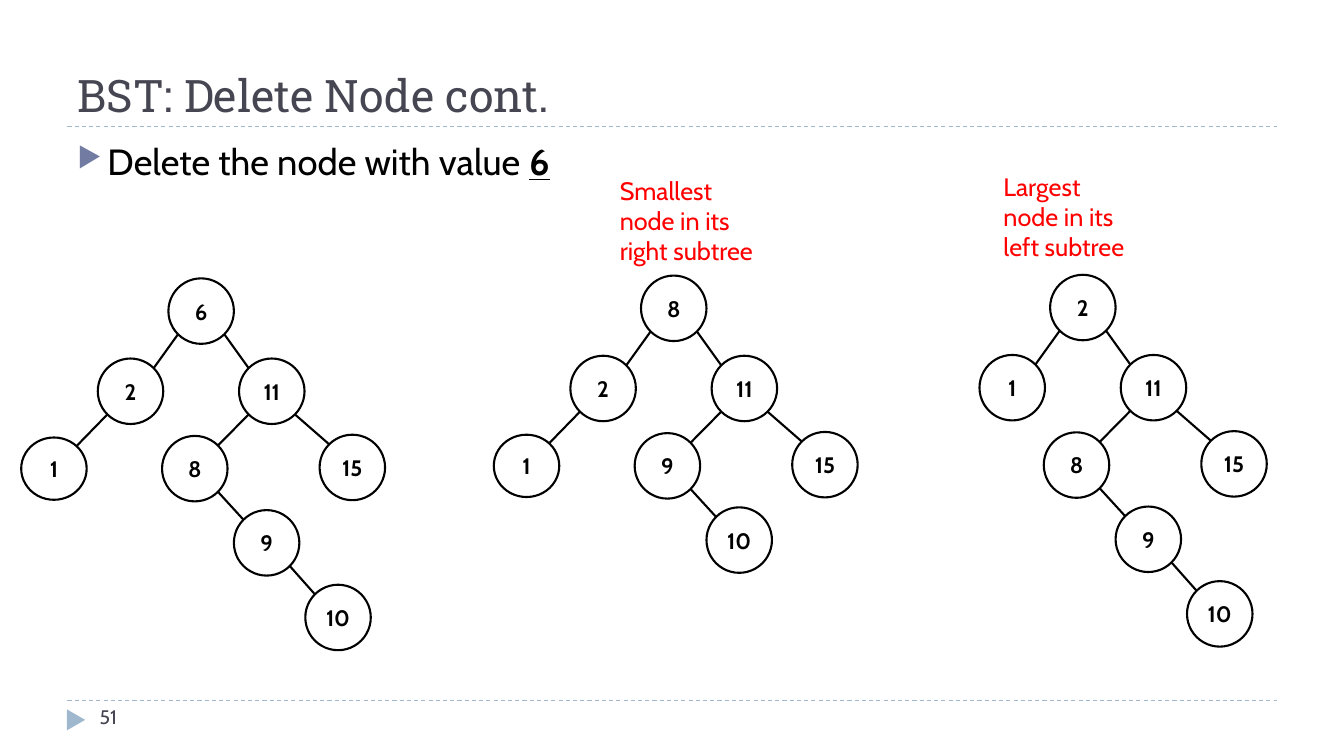
from dataclasses import dataclass
from math import sqrt

from lxml import etree
from pptx import Presentation
from pptx.dml.color import RGBColor
from pptx.enum.dml import MSO_LINE
from pptx.enum.shapes import MSO_CONNECTOR, MSO_SHAPE
from pptx.enum.text import MSO_ANCHOR, MSO_AUTO_SIZE, PP_ALIGN
from pptx.oxml.ns import qn
from pptx.util import Cm, Pt

STRAIGHT = MSO_CONNECTOR.STRAIGHT
OVAL = MSO_SHAPE.OVAL
TRIANGLE = MSO_SHAPE.ISOSCELES_TRIANGLE
DASH = MSO_LINE.DASH
CENTER, LEFT = PP_ALIGN.CENTER, PP_ALIGN.LEFT
MIDDLE, BOTTOM = MSO_ANCHOR.MIDDLE, MSO_ANCHOR.BOTTOM
NO_AUTOFIT = MSO_AUTO_SIZE.NONE

BLACK = RGBColor(0x00, 0x00, 0x00)
WHITE = RGBColor(0xFF, 0xFF, 0xFF)
RED = RGBColor(0xFF, 0x00, 0x00)
SLATE = RGBColor(0x46, 0x46, 0x53)
PALE_BLUE = RGBColor(0x9F, 0xB8, 0xCD)
BULLET_BLUE = "727CA3"

BODY_FONT = "Cabin"
TITLE_FONT = "Roboto Slab"
NODE_SIZE = 1.65
EDGE_INSET = NODE_SIZE / 2 / sqrt(2)


@dataclass(frozen=True)
class Slot:
    """Centre of a tree position relative to the root, in centimetres."""
    x: float
    y: float
    height: float = NODE_SIZE


@dataclass(frozen=True)
class Tree:
    """Root centre in centimetres, and values keyed by the path from the root."""
    x: float
    y: float
    values: dict[str, int]


@dataclass(frozen=True)
class Note:
    left: float
    top: float
    width: float
    text: str


SLOTS = {
    "": Slot(0, 0),
    "L": Slot(-1.78, 2.02),
    "R": Slot(1.78, 2.02),
    "LL": Slot(-3.71, 3.97, 1.57),
    "RL": Slot(-0.16, 3.97),
    "RR": Slot(3.81, 3.94),
    "RLR": Slot(1.65, 5.84),
    "RLRR": Slot(3.45, 7.72),
}

TREES = [
    Tree(5.07, 7.84, {"": 6, "L": 2, "R": 11, "LL": 1, "RL": 8, "RR": 15, "RLR": 9, "RLRR": 10}),
    Tree(16.98, 7.77, {"": 8, "L": 2, "R": 11, "LL": 1, "RL": 9, "RR": 15, "RLR": 10}),
    Tree(27.29, 7.75, {"": 2, "L": 1, "R": 11, "RL": 8, "RR": 15, "RLR": 9, "RLRR": 10}),
]

NOTES = [
    Note(23.77, 4.19, 5.21, "Largest node in its left subtree"),
    Note(14.1, 4.29, 5.59, "Smallest node in its right subtree"),
]


def add_run(paragraph, text: str, size: float, color: RGBColor,
            font: str = BODY_FONT, bold: bool = False, underline: bool = False) -> None:
    run = paragraph.add_run()
    run.text = text
    run.font.name = font
    run.font.size = Pt(size)
    run.font.color.rgb = color
    run.font.bold = bold
    run.font.underline = underline


def add_text_box(slide, left: float, top: float, width: float, height: float):
    """Add a wrapping text box and return its first paragraph."""
    box = slide.shapes.add_textbox(Cm(left), Cm(top), Cm(width), Cm(height))
    box.text_frame.word_wrap = True
    return box.text_frame.paragraphs[0]


def set_indent(paragraph, margin: float, first_line: float = 0):
    properties = paragraph._p.get_or_add_pPr()
    properties.set("marL", str(Cm(margin)))
    properties.set("indent", str(Cm(first_line)))
    return properties


def add_line(shapes, x1: float, y1: float, x2: float, y2: float,
             color: RGBColor, width: float):
    line = shapes.add_connector(STRAIGHT, Cm(x1), Cm(y1), Cm(x2), Cm(y2))
    line.line.color.rgb = color
    line.line.width = Pt(width)
    etree.SubElement(line._element.spPr, qn("a:effectLst"))
    return line


def add_node(shapes, x: float, y: float, height: float, value: int) -> None:
    node = shapes.add_shape(OVAL, Cm(x - NODE_SIZE / 2), Cm(y - height / 2),
                            Cm(NODE_SIZE), Cm(height))
    node.shadow.inherit = False
    node.fill.solid()
    node.fill.fore_color.rgb = WHITE
    node.line.color.rgb = BLACK
    node.line.width = Pt(1.5)
    frame = node.text_frame
    frame.margin_left = frame.margin_right = frame.margin_top = frame.margin_bottom = 0
    frame.vertical_anchor = MIDDLE
    paragraph = frame.paragraphs[0]
    paragraph.alignment = CENTER
    add_run(paragraph, str(value), 16, BLACK, bold=True)


def add_tree(slide, tree: Tree) -> None:
    """Draw a tree as one group; edges meet the circles on their diagonals."""
    shapes = slide.shapes.add_group_shape().shapes
    for route, value in tree.values.items():
        slot = SLOTS[route]
        x, y = tree.x + slot.x, tree.y + slot.y
        add_node(shapes, x, y, slot.height, value)
        if route:
            parent = SLOTS[route[:-1]]
            inset = EDGE_INSET if route[-1] == "R" else -EDGE_INSET
            add_line(shapes, tree.x + parent.x + inset, tree.y + parent.y + EDGE_INSET,
                     x - inset, y - EDGE_INSET, BLACK, 1.5)


def add_title(slide) -> None:
    title = slide.shapes.title
    title.left, title.top, title.width, title.height = Cm(1.7), Cm(0.43), Cm(30.48), Cm(2.75)
    frame = title.text_frame
    frame.auto_size = NO_AUTOFIT
    frame.vertical_anchor = BOTTOM
    paragraph = frame.paragraphs[0]
    paragraph.alignment = LEFT
    add_run(paragraph, "BST: Delete Node cont.", 32, SLATE, TITLE_FONT)


def add_bullet_line(slide) -> None:
    paragraph = add_text_box(slide, 1.7, 3.39, 30.48, 13.72)
    properties = set_indent(paragraph, 0.76, -0.76)
    color = etree.SubElement(properties, qn("a:buClr"))
    etree.SubElement(color, qn("a:srgbClr"), val=BULLET_BLUE)
    etree.SubElement(properties, qn("a:buSzPct"), val="76000")
    etree.SubElement(properties, qn("a:buChar"), char="▶")
    add_run(paragraph, "Delete the node with value ", 26, BLACK)
    add_run(paragraph, "6", 26, BLACK, bold=True, underline=True)


def add_page_frame(slide) -> None:
    """Add the dashed rules, the footer marker and the page number."""
    for y in (17.65, 3.18):
        add_line(slide.shapes, 1.7, y, 32.18, y, PALE_BLUE, 0.75).line.dash_style = DASH
    marker = slide.shapes.add_shape(TRIANGLE, Cm(1.65), Cm(17.91), Cm(0.53), Cm(0.46))
    marker.rotation = 90
    marker.shadow.inherit = False
    marker.fill.solid()
    marker.fill.fore_color.rgb = PALE_BLUE
    marker.line.fill.background()
    add_run(add_text_box(slide, 2.26, 17.65, 7.34, 1.02), "51", 14, SLATE)


def main() -> None:
    presentation = Presentation()
    presentation.slide_width, presentation.slide_height = Cm(33.87), Cm(19.05)
    slide = presentation.slides.add_slide(presentation.slide_layouts[5])
    add_page_frame(slide)
    add_title(slide)
    add_bullet_line(slide)
    for tree in TREES:
        add_tree(slide, tree)
    for note in NOTES:
        paragraph = add_text_box(slide, note.left, note.top, note.width, 2.57)
        set_indent(paragraph, 1.27)
        add_run(paragraph, note.text, 18, RED)
    presentation.save("out.pptx")


if __name__ == "__main__":
    main()
